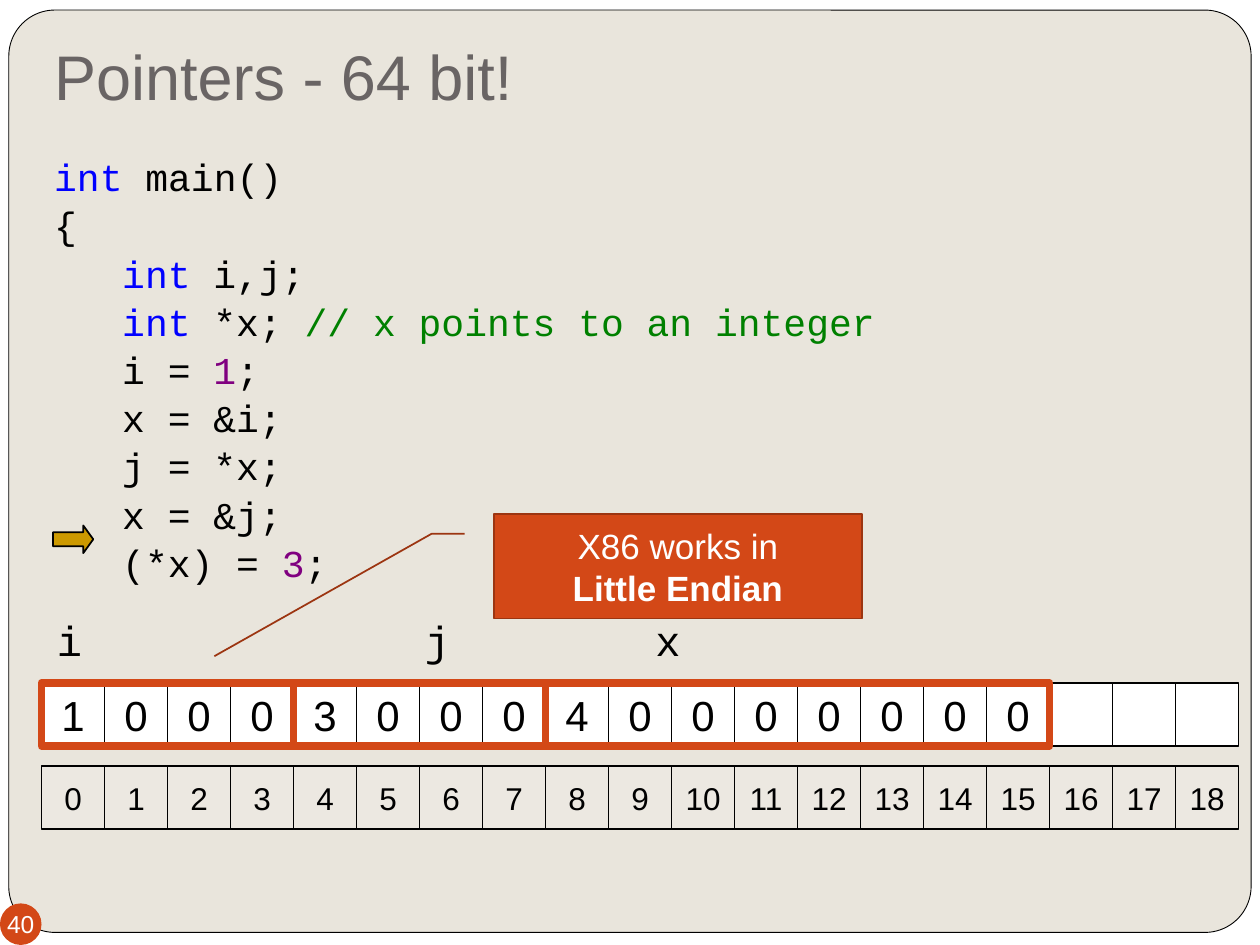
"""Build a slide on 64-bit pointers with a code listing and a byte map."""
from lxml import etree
from pptx import Presentation
from pptx import util as u
from pptx.dml.color import RGBColor
from pptx.enum import shapes, text

WHITE = RGBColor(0xFF, 0xFF, 0xFF)
BLACK = RGBColor(0, 0, 0)
SAND = RGBColor(0xE9, 0xE5, 0xDC)
PALE = RGBColor(0xEC, 0xE8, 0xE1)
GREY = RGBColor(0x69, 0x64, 0x64)
RUST = RGBColor(0xD3, 0x48, 0x17)
BROWN = RGBColor(0x9C, 0x35, 0x11)
GOLD = RGBColor(0xCC, 0x99, 0x00)
BLUE = RGBColor(0, 0, 0xFF)
GREEN = RGBColor(0, 0x80, 0)
PLUM = RGBColor(0x80, 0, 0x80)
SANS, MONO = "Arial", "Courier New"

TITLE = "Pointers - 64 bit!"
CODE = [
    (0, [("int", BLUE), (" main()", BLACK)]),
    (0, [("{", BLACK)]),
    (1, [("int ", BLUE), ("i,j;", BLACK)]),
    (1, [("int", BLUE), (" *x; ", BLACK), ("// x points to an integer", GREEN)]),
    (1, [("i = ", BLACK), ("1", PLUM), (";", BLACK)]),
    (1, [("x = &i;", BLACK)]),
    (1, [("j = *x;", BLACK)]),
    (1, [("x = &j;", BLACK)]),
    (1, [("(*x) = ", BLACK), ("3", PLUM), (";", BLACK)]),
]
COUNT = 19
BYTES = "1000" + "3000" + "40000000"
VARS = [("i", 0, 4, 0.42, 0.33), ("j", 4, 4, 2.42, 1.25), ("x", 8, 8, 4.42, 1.08)]
NOTE = [("X86 works in", False), ("Little Endian", True)]
PAGE = "40"

LEFT, CELL = 0.33, 0.5
MEM, INDEX, NAMES = 5.42, 6.08, 4.83
TAB = 0.54
KIND = shapes.MSO_SHAPE
MID = text.MSO_ANCHOR.MIDDLE
CENTER, RIGHT = text.PP_ALIGN.CENTER, text.PP_ALIGN.RIGHT


def place(shape, box):
    shape.left, shape.top, shape.width, shape.height = map(u.Inches, box)


def style(par, size, color, face=SANS, bold=False, align=CENTER):
    font = par.font
    font.size, font.name, font.bold = u.Pt(size), face, bold
    font.color.rgb = color
    par.alignment = align


def draw(kind, box, fill=None, line=None, width=1, adj=()):
    shape = slide.shapes.add_shape(kind, *map(u.Inches, box))
    shape.shadow.inherit = False
    for i, value in enumerate(adj):
        shape.adjustments[i] = value
    if fill is None:
        shape.fill.background()
    else:
        shape.fill.solid()
        shape.fill.fore_color.rgb = fill
    if line is None:
        shape.line.fill.background()
    else:
        shape.line.color.rgb = line
        shape.line.width = u.Pt(width)
    return shape


def label(shape, words, size, color):
    frame = shape.text_frame
    frame.margin_left = frame.margin_right = 0
    frame.margin_top = frame.margin_bottom = 0
    frame.vertical_anchor = MID
    frame.word_wrap = False
    frame.text = words
    style(frame.paragraphs[0], size, color)


def row(top, words, fill, size):
    for i in range(COUNT):
        cell = draw(KIND.RECTANGLE, (LEFT + i * CELL, top, CELL, CELL), fill, BLACK)
        if i < len(words):
            label(cell, words[i], size, BLACK)


def listing(body):
    place(body, (LEFT, 1.11, 9.45, 5.02))
    frame = body.text_frame
    frame.auto_size = text.MSO_AUTO_SIZE.NONE
    frame.margin_top = u.Inches(0.11)
    for i, (depth, runs) in enumerate(CODE):
        par = frame.add_paragraph() if i else frame.paragraphs[0]
        par.space_before = u.Pt(1.5 if i else 0)
        par.font.size, par.font.name = u.Pt(21.7), MONO
        prop = par._p.get_or_add_pPr()
        prop.set("marL", str(u.Inches(depth * TAB)))
        prop.set("indent", "0")
        tag = prop.tag.replace("pPr", "buNone")
        prop.insert_element_before(etree.SubElement(prop, tag), "a:defRPr")
        for words, color in runs:
            run = par.add_run()
            run.text = words
            run.font.color.rgb = color


deck = Presentation()
deck.slide_width, deck.slide_height = u.Inches(10), u.Inches(7.5)
slide = deck.slides.add_slide(deck.slide_layouts[1])
slide.background.fill.solid()
slide.background.fill.fore_color.rgb = WHITE

panel = draw(KIND.ROUNDED_RECTANGLE, (0.07, 0.08, 9.86, 7.32), SAND, BLACK, 0.5, [0.05])
slide.shapes._spTree.insert(2, panel._element)

title, body = slide.placeholders
place(title, (LEFT, 0.3, 9.33, 0.7))
head = title.text_frame
head.text = TITLE
head.auto_size = text.MSO_AUTO_SIZE.NONE
head.vertical_anchor = text.MSO_ANCHOR.BOTTOM
head.margin_bottom = u.Inches(0.1)
style(head.paragraphs[0], 36, GREY, align=text.PP_ALIGN.LEFT)
listing(body)

draw(KIND.RIGHT_ARROW, (0.42, 4.17, 0.32, 0.22), GOLD, BLACK, 1, [0.5, 0.36])
row(MEM, BYTES, WHITE, 24)
row(INDEX, [str(i) for i in range(COUNT)], PALE, 18)

for name, start, size, left, width in VARS:
    draw(KIND.RECTANGLE, (LEFT + start * CELL, MEM, size * CELL, CELL), None, RUST, 4.5)
    box = slide.shapes.add_textbox(*map(u.Inches, (left, NAMES, width, CELL)))
    box.text_frame.word_wrap = True
    box.text_frame.margin_left = 0
    box.text_frame.text = name
    style(box.text_frame.paragraphs[0], 24, BLACK, MONO, align=RIGHT)

note = draw(KIND.LINE_CALLOUT_2, (3.92, 4.08, 2.92, 0.83), RUST, BROWN, 1,
            [0.19, -0.08, 0.19, -0.17, 1.36, -0.76])
note.text_frame.vertical_anchor = MID
note.text_frame.text = "\n".join(words for words, bold in NOTE)
for par, (words, bold) in zip(note.text_frame.paragraphs, NOTE):
    style(par, 20, WHITE, bold=bold)

label(draw(KIND.OVAL, (0, 7.17, 0.33, 0.33), RUST), PAGE, 14, WHITE)

deck.save("out.pptx")
